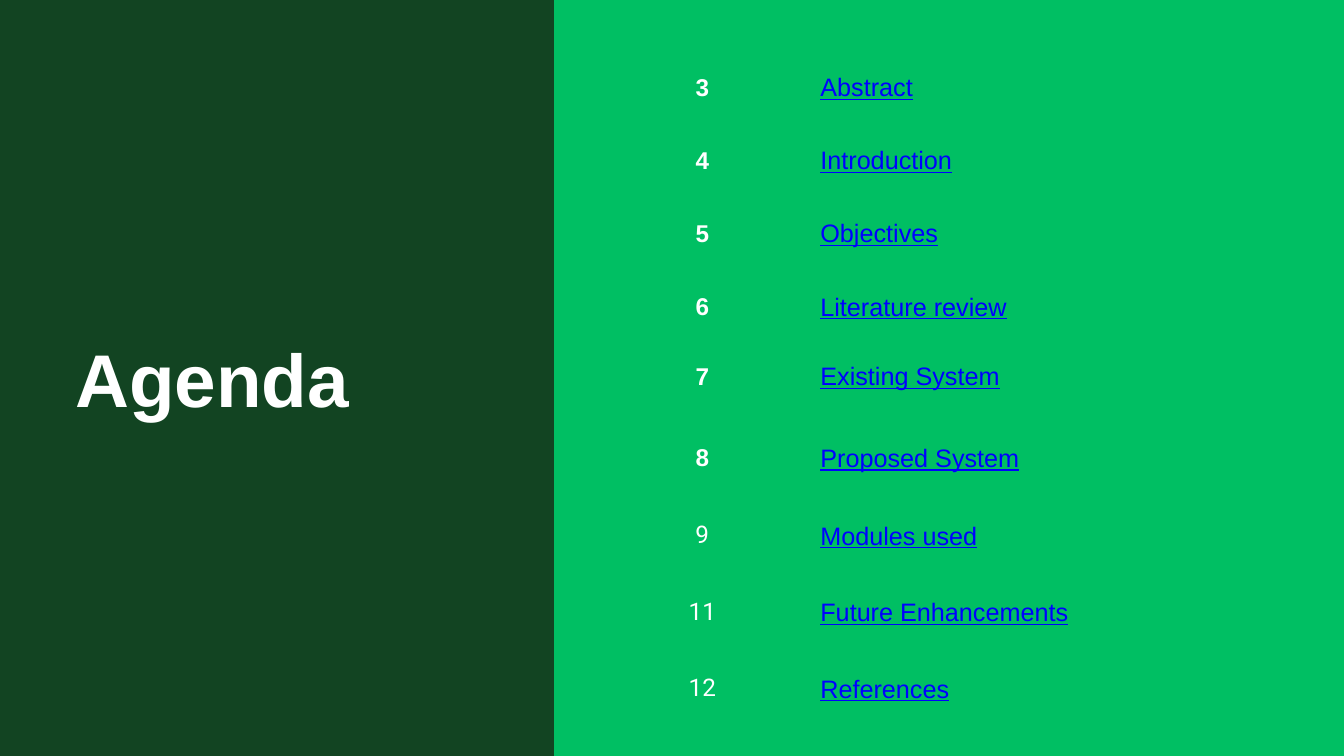
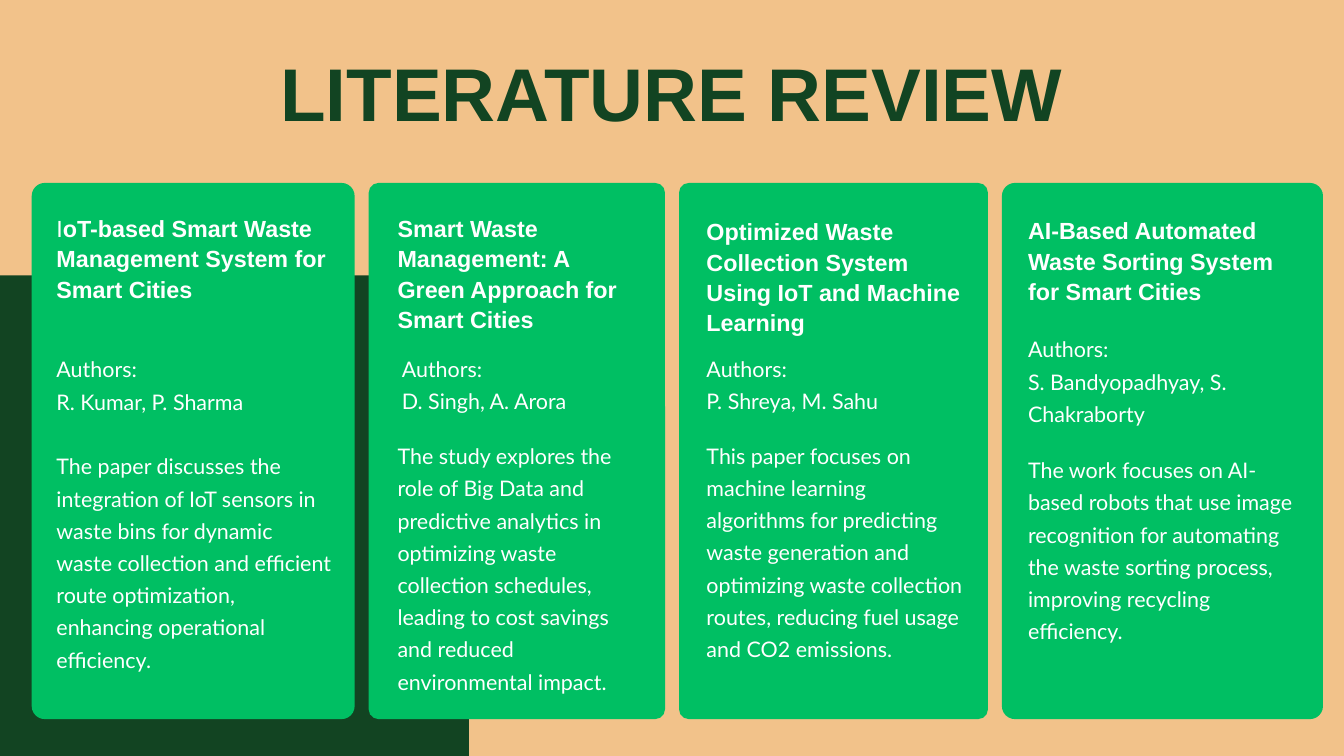
from dataclasses import dataclass
from typing import NamedTuple

from pptx import Presentation
from pptx.dml.color import RGBColor as RGB
from pptx.enum.shapes import MSO_SHAPE as Shape
from pptx.enum.text import MSO_ANCHOR as Anchor, MSO_AUTO_SIZE as AutoSize, PP_ALIGN as Align
from pptx.oxml.ns import qn
from pptx.util import Pt


class TextStyle(NamedTuple):
    font: str
    size: float
    spacing: float
    color: RGB
    bold: bool = False
    underline: bool = False


@dataclass(frozen=True)
class Theme:
    white = RGB(0xFF, 0xFF, 0xFF)
    dark_green = RGB(0x12, 0x44, 0x22)
    green = RGB(0x00, 0xBF, 0x63)
    sand = RGB(0xF2, 0xC2, 0x8A)
    link_blue = RGB(0x00, 0x00, 0xFF)

    title_light = TextStyle("Arial", 80, 96, white, bold=True)
    title_dark = title_light._replace(color=dark_green)
    number = TextStyle("Arial", 26, 36.4, white, bold=True)
    late_number = number._replace(font="Roboto", bold=False)
    topic = TextStyle("Arial", 27, 37.8, link_blue, underline=True)
    heading = TextStyle("Arial", 25, 32.5, white, bold=True)
    body = TextStyle("Lato", 23, 34.5, white)


THEME = Theme()
SLIDE_WIDTH, SLIDE_HEIGHT = 1440, 810
NO_TABLE_STYLE = "{2D5ABB26-0587-4C30-8999-92F81FD0307C}"


class Block(NamedTuple):
    """Text in a card: top, width, number of lines reserved, wording."""
    top: float
    width: float
    lines: int
    text: str


class Card(NamedTuple):
    width: float
    radius: float
    inset: float
    authors_indent: float
    heading: Block
    authors: Block
    summary: Block


# Agenda rows: page, topic, row height
AGENDA = [
    ("3", "Abstract", 87),
    ("4", "Introduction", 70),
    ("5", "Objectives", 86),
    ("6", "Literature review", 71),
    ("7", "Existing System", 78),
    ("8", "Proposed System", 97),
    ("9", "Modules used", 70),
    ("11", "Future Enhancements", 94),
    ("12", "References", 70),
]
FIRST_LATE_ROW = 6

# Reviewed papers, from left to right
CARDS = [
    Card(346, 14, 26.5, 0,
         Block(227, 289.5, 3, "IoT-based Smart Waste Management System for Smart Cities"),
         Block(375, 276, 2, "Authors:\nR. Kumar, P. Sharma"),
         Block(479, 296, 7, "The paper discusses the integration of IoT sensors in waste bins "
               "for dynamic waste collection and efficient route optimization, "
               "enhancing operational efficiency.")),
    Card(317.5, 10.5, 31, 4.5,
         Block(227, 252, 4, "Smart Waste Management: A Green Approach for Smart Cities"),
         Block(374.5, 265, 2, "Authors:\nD. Singh, A. Arora"),
         Block(468, 263, 8, "The study explores the role of Big Data and predictive analytics "
               "in optimizing waste collection schedules, leading to cost savings "
               "and reduced environmental impact.")),
    Card(331, 10.5, 29.5, 0,
         Block(230.5, 276.5, 4, "Optimized Waste Collection System Using IoT and Machine Learning"),
         Block(374.5, 276.5, 2, "Authors:\nP. Shreya, M. Sahu"),
         Block(467.5, 276.5, 8, "This paper focuses on machine learning algorithms for predicting "
               "waste generation and optimizing waste collection routes, "
               "reducing fuel usage and CO2 emissions.")),
    Card(344, 14, 28, 0,
         Block(229.5, 285, 3, "AI-Based Automated Waste Sorting System for Smart Cities"),
         Block(353.5, 285, 3, "Authors:\nS. Bandyopadhyay, S. Chakraborty"),
         Block(483, 291, 7, "The work focuses on AI-based robots that use image recognition "
               "for automating the waste sorting process, improving recycling efficiency.")),
]
CARDS_LEFT, CARDS_TOP, CARD_HEIGHT, CARD_GAP = 34, 196, 574.5, 15


def points(*lengths):
    return [Pt(length) for length in lengths]


def write(frame, text, style, align=Align.LEFT):
    """Fill a text frame, giving every paragraph the same style."""
    frame.text = text
    for paragraph in frame.paragraphs:
        paragraph.alignment = align
        paragraph.line_spacing = Pt(style.spacing)
        paragraph.space_before = Pt(0)
        font = paragraph.font
        font.name, font.size = style.font, Pt(style.size)
        font.bold, font.underline = style.bold, style.underline
        font.color.rgb = style.color


def clear_frame(frame):
    frame.margin_left = frame.margin_top = frame.margin_right = frame.margin_bottom = 0
    frame.word_wrap = True
    frame.auto_size = AutoSize.NONE
    frame.vertical_anchor = Anchor.TOP


def add_slide(presentation, background):
    slide = presentation.slides.add_slide(presentation.slide_layouts.get_by_name("Title Only"))
    fill = slide.background.fill
    fill.solid()
    fill.fore_color.rgb = background
    return slide


def set_title(slide, box, text, style, align=Align.LEFT):
    """Write the title and bring it in front of the panels drawn so far."""
    title = slide.shapes.title
    title.left, title.top, title.width, title.height = points(*box)
    clear_frame(title.text_frame)
    write(title.text_frame, text, style, align)
    title.element.getparent().append(title.element)


def add_panel(slide, box, color, radius=0):
    kind = Shape.ROUNDED_RECTANGLE if radius else Shape.RECTANGLE
    panel = slide.shapes.add_shape(kind, *points(*box))
    if radius:
        panel.adjustments[0] = radius / min(box[2:])
    panel.shadow.inherit = False
    panel.fill.solid()
    panel.fill.fore_color.rgb = color
    panel.line.fill.background()


def add_block(slide, left, block, style):
    box = slide.shapes.add_textbox(
        *points(left, block.top, block.width, block.lines * style.spacing))
    clear_frame(box.text_frame)
    write(box.text_frame, block.text, style)
    return box


def write_cell(cell, text, style, align):
    cell.fill.background()
    cell.vertical_anchor = Anchor.MIDDLE
    cell.margin_left = cell.margin_top = cell.margin_right = cell.margin_bottom = Pt(15)
    write(cell.text_frame, text, style, align)


def add_agenda_table(slide):
    heights = [height for _, _, height in AGENDA]
    frame = slide.shapes.add_table(len(AGENDA), 2, *points(641, 47, 773, sum(heights)))
    next(frame.element.iter(qn("a:tableStyleId"))).text = NO_TABLE_STYLE
    table = frame.table
    table.first_row = table.horz_banding = False
    for column, width in zip(table.columns, (223, 550)):
        column.width = Pt(width)
    for index, (page, topic, height) in enumerate(AGENDA):
        table.rows[index].height = Pt(height)
        number_style = THEME.number if index < FIRST_LATE_ROW else THEME.late_number
        write_cell(table.cell(index, 0), page, number_style, Align.CENTER)
        write_cell(table.cell(index, 1), topic, THEME.topic, Align.LEFT)


def add_card(slide, left, card):
    add_panel(slide, (left, CARDS_TOP, card.width, CARD_HEIGHT), THEME.green, card.radius)
    text_left = left + card.inset
    heading = add_block(slide, text_left, card.heading, THEME.heading)
    add_block(slide, text_left + card.authors_indent, card.authors, THEME.body)
    add_block(slide, text_left, card.summary, THEME.body)
    return heading


def lighten_first_letter(text_box):
    """Set the first letter in regular weight, the rest stays bold."""
    paragraph = text_box.text_frame.paragraphs[0]
    first = paragraph.runs[0]
    rest = paragraph.add_run()
    first.text, rest.text = first.text[0], first.text[1:]
    first.font.bold = False


def build_agenda(presentation):
    slide = add_slide(presentation, THEME.green)
    add_panel(slide, (0, 0, 593.5, SLIDE_HEIGHT), THEME.dark_green)
    set_title(slide, (80.5, 357, 420, 96), "Agenda", THEME.title_light)
    add_agenda_table(slide)


def build_literature_review(presentation):
    slide = add_slide(presentation, THEME.sand)
    add_panel(slide, (0, 295, 502.5, SLIDE_HEIGHT - 295), THEME.dark_green)
    left = CARDS_LEFT
    headings = []
    for card in CARDS:
        headings.append(add_card(slide, left, card))
        left += card.width + CARD_GAP
    lighten_first_letter(headings[0])
    set_title(slide, (165, 50.5, 1109.5, 96), "LITERATURE REVIEW", THEME.title_dark, Align.CENTER)


def main():
    presentation = Presentation()
    presentation.slide_width, presentation.slide_height = points(SLIDE_WIDTH, SLIDE_HEIGHT)
    build_agenda(presentation)
    build_literature_review(presentation)
    presentation.save("out.pptx")


if __name__ == "__main__":
    main()
